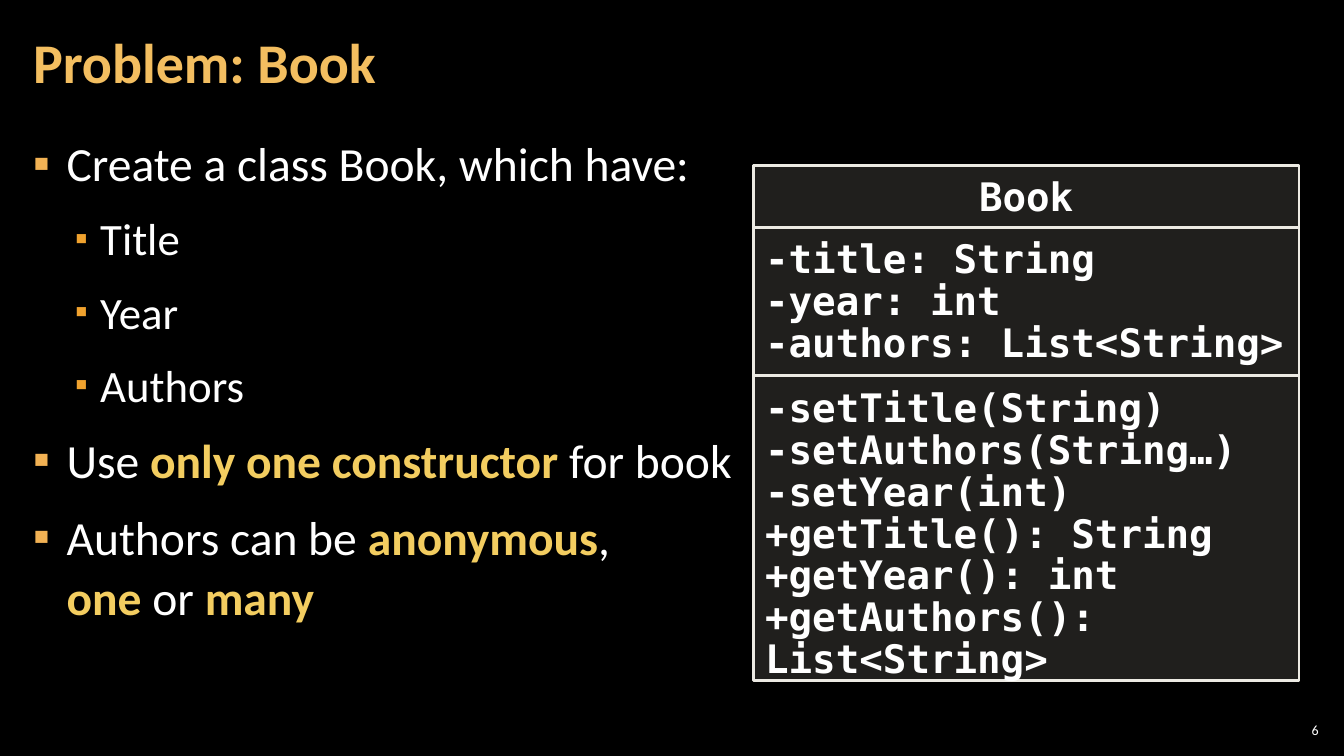
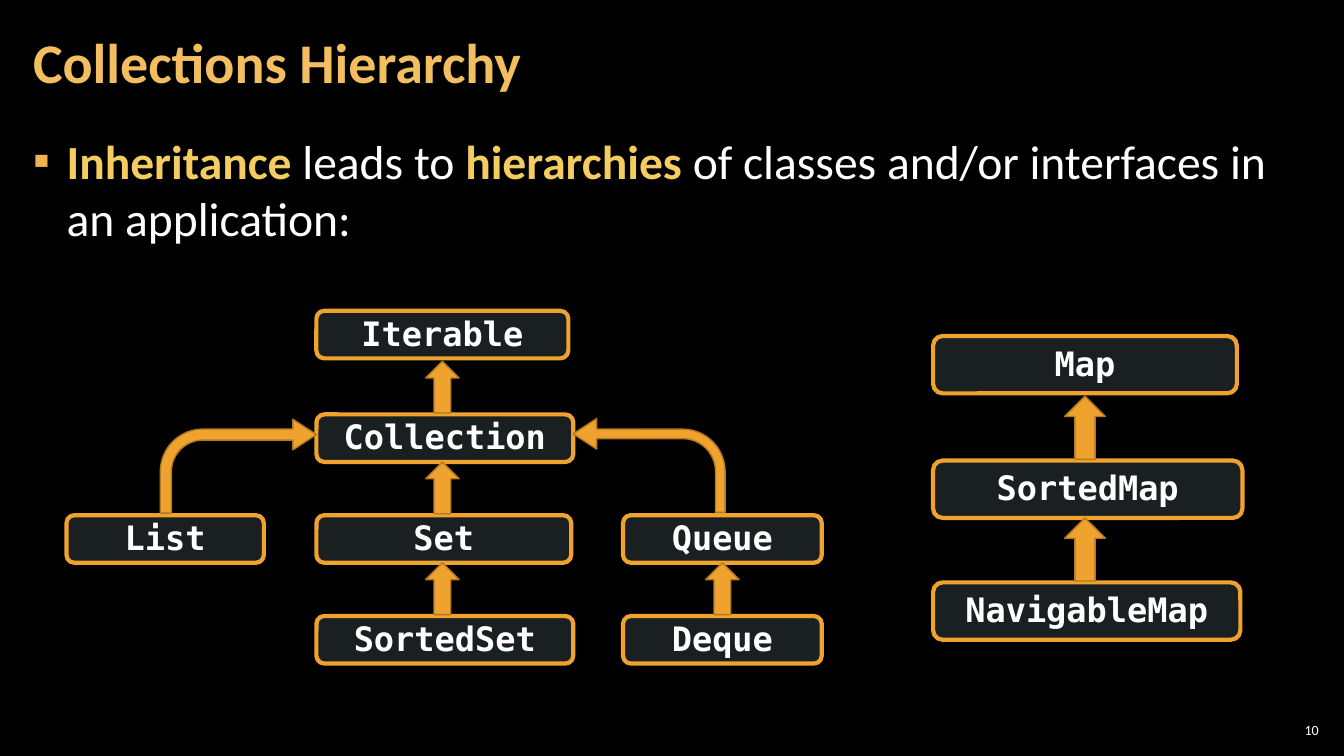
from lxml import etree
from pptx import Presentation
from pptx.dml.color import RGBColor
from pptx.enum import shapes, text
from pptx.oxml import ns
from pptx.util import Pt

# Shared look
BLACK, WHITE = "000000", "FFFFFF"
TITLE_GOLD, EMPHASIS = "F3BE60", "F3CD60"
ORANGE, ARROW_EDGE = "F0A22E", "B27822"
NODE_TINT, UML_TINT, UML_EDGE = "B5DBE5", "D9D5C7", "ECEAE3"
SANS, MONO = "Calibri", "DejaVu Sans Mono"
TINT_OPACITY = 15
LEFT, CENTER, RIGHT = text.PP_ALIGN.LEFT, text.PP_ALIGN.CENTER, text.PP_ALIGN.RIGHT
# Per list level: text size, left margin, hanging indent, bullet colour, bullet size
LEVELS = [(34, 24, 24, "F2B254", 100), (32, 48, 18, ORANGE, 80)]


def color(hex_code):
    return RGBColor.from_string(hex_code)


def add_xml(parent, tag, **attributes):
    return etree.SubElement(parent, ns.qn(tag), attributes)


def place(shape, left, top, width, height):
    shape.left, shape.top = Pt(left), Pt(top)
    shape.width, shape.height = Pt(width), Pt(height)


def set_frame(frame, side, edge, anchor, wrap=True):
    frame.auto_size = text.MSO_AUTO_SIZE.NONE
    frame.word_wrap = wrap
    frame.vertical_anchor = anchor
    frame.margin_left = frame.margin_right = Pt(side)
    frame.margin_top = frame.margin_bottom = Pt(edge)


def style(paragraph, face, size, hex_code=WHITE, bold=False, align=LEFT, spacing=1.0):
    paragraph.alignment = align
    paragraph.line_spacing = spacing
    font = paragraph.font
    font.name, font.size, font.bold = face, Pt(size), bold
    font.color.rgb = color(hex_code)


# Slide parts
def add_slide(prs, title, number):
    slide = prs.slides.add_slide(prs.slide_layouts[1])
    heading = slide.shapes.title
    place(heading, 15, 3, 754, 87)
    set_frame(heading.text_frame, 8.6, 3, text.MSO_ANCHOR.MIDDLE)
    heading.text_frame.text = title
    style(heading.text_frame.paragraphs[0], SANS, 40, TITLE_GOLD, True, spacing=0.9)

    page = slide.shapes.add_textbox(Pt(911), Pt(514), Pt(34), Pt(15)).text_frame
    set_frame(page, 3, 3, text.MSO_ANCHOR.MIDDLE)
    page.text = str(number)
    style(page.paragraphs[0], SANS, 10, align=RIGHT)
    return slide


def add_marked_text(paragraph, marked):
    """Words between asterisks are emphasised; a newline breaks the line."""
    for i, part in enumerate(marked.split("*")):
        for j, piece in enumerate(part.split("\n")):
            if j:
                paragraph.add_line_break()
            if piece:
                run = paragraph.add_run()
                run.text = piece
                if i % 2:
                    run.font.bold = True
                    run.font.color.rgb = color(EMPHASIS)


def set_bullet(paragraph, margin, hanging, hex_code, percent):
    properties = paragraph._p.get_or_add_pPr()
    properties.set("marL", str(Pt(margin)))
    properties.set("indent", str(-Pt(hanging)))
    add_xml(add_xml(properties, "a:buClr"), "a:srgbClr", val=hex_code)
    add_xml(properties, "a:buSzPct", val=str(percent * 1000))
    add_xml(properties, "a:buFont", typeface=SANS)
    add_xml(properties, "a:buChar", char="▪")


def fill_list(slide, items, spacing):
    body = slide.placeholders[1]
    place(body, 15, 91, 930, 438)
    frame = body.text_frame
    set_frame(frame, 8.6, 3, text.MSO_ANCHOR.TOP)
    for i, (level, marked) in enumerate(items):
        paragraph = frame.add_paragraph() if i else frame.paragraphs[0]
        size, *bullet = LEVELS[level]
        paragraph.level = level
        paragraph.space_before = paragraph.space_after = Pt(6)
        set_bullet(paragraph, *bullet)
        style(paragraph, SANS, size, spacing=spacing)
        add_marked_text(paragraph, marked)


def add_block(slide, kind, box, fill, line, line_width, opacity=100):
    block = slide.shapes.add_shape(kind, *map(Pt, box))
    block.shadow.inherit = False
    block.fill.solid()
    block.fill.fore_color.rgb = color(fill)
    if opacity < 100:
        tint = block._element.spPr.find(ns.qn("a:solidFill"))[0]
        add_xml(tint, "a:alpha", val=str(opacity * 1000))
    block.line.color.rgb = color(line)
    block.line.width = Pt(line_width)
    return block


def add_compartment(slide, top, height, lines, align=LEFT):
    compartment = add_block(slide, shapes.MSO_SHAPE.RECTANGLE, (538, top, 390, height),
                            UML_TINT, UML_EDGE, 2, TINT_OPACITY)
    frame = compartment.text_frame
    set_frame(frame, 8.6, 8.6, text.MSO_ANCHOR.TOP)
    frame.text = "\n".join(lines)
    for paragraph in frame.paragraphs:
        style(paragraph, MONO, 28, bold=True, align=align, spacing=Pt(30))


def add_node(slide, name, left, top, width, height):
    node = add_block(slide, shapes.MSO_SHAPE.ROUNDED_RECTANGLE, (left, top, width, height),
                     NODE_TINT, ORANGE, 3, TINT_OPACITY)
    set_frame(node.text_frame, 7.2, 3.6, text.MSO_ANCHOR.MIDDLE, wrap=False)
    node.text_frame.text = name
    style(node.text_frame.paragraphs[0], MONO, 24, bold=True, align=CENTER, spacing=0.95)


def add_up_arrow(slide, center, child_top, width, height):
    """Arrow that rises from just above the child to its parent."""
    box = (center - width / 2, child_top - height - 1, width, height)
    add_block(slide, shapes.MSO_SHAPE.UP_ARROW, box, ORANGE, ARROW_EDGE, 1)


def add_bent_arrow(slide, box, thickness, flipped=False):
    arrow = add_block(slide, shapes.MSO_SHAPE.BENT_ARROW, box, ORANGE, ARROW_EDGE, 1)
    for i, value in enumerate((thickness, 0.163, 0.25, 0.454)):
        arrow.adjustments[i] = value
    if flipped:
        arrow._element.spPr.get_or_add_xfrm().set("flipH", "1")


# Slides
def build_book(prs):
    slide = add_slide(prs, "Problem: Book", 6)
    fill_list(slide, [
        (0, "Create a class Book, which have:"),
        (1, "Title"),
        (1, "Year"),
        (1, "Authors"),
        (0, "Use *only one constructor* for book"),
        (0, "Authors can be *anonymous*, \n*one *or *many*"),
    ], 1.05)
    fields = ["-title: String", "-year: int", "-authors: List<String>"]
    methods = ["-setTitle(String)", "-setAuthors(String…)", "-setYear(int)",
               "+getTitle(): String", "+getYear(): int", "+getAuthors(): List<String>"]
    top = 118
    for height, lines, align in [(44.5, ["Book"], CENTER), (106, fields, LEFT),
                                 (217.5, methods, LEFT)]:
        add_compartment(slide, top, height, lines, align)
        top += height


def build_hierarchy(prs):
    slide = add_slide(prs, "Collections Hierarchy", 10)
    fill_list(slide, [(0, "*Inheritance* leads to *hierarchies* of classes "
                          "and/or interfaces in an application:")], 1.0)

    # Collection family
    rows = [222, 296, 368, 440]
    for name, left, row, width in [
        ("Iterable", 226, 0, 180), ("Collection", 226, 1, 183.5),
        ("List", 47.5, 2, 141), ("Set", 226, 2, 182), ("Queue", 445, 2, 142),
        ("SortedSet", 226, 3, 183.5), ("Deque", 445, 3, 142),
    ]:
        add_node(slide, name, left, rows[row], width, 34)
    for center, row in [(316, 1), (316, 2), (316, 3), (516, 3)]:
        add_up_arrow(slide, center, rows[row], 24, 37)
    add_bent_arrow(slide, (114.5, 299.5, 111.5, 67), 0.118)
    add_bent_arrow(slide, (409.5, 299, 108.5, 67), 0.102, flipped=True)

    # Map family
    for i, (name, top, width) in enumerate([("Map", 240, 217), ("SortedMap", 329, 221),
                                            ("NavigableMap", 416, 219.5)]):
        add_node(slide, name, 666.5, top, width, 41)
        if i:
            add_up_arrow(slide, 775, top, 29, 45)


def main():
    prs = Presentation()
    prs.slide_width, prs.slide_height = Pt(960), Pt(540)
    backdrop = prs.slide_master.background.fill
    backdrop.solid()
    backdrop.fore_color.rgb = color(BLACK)
    build_book(prs)
    build_hierarchy(prs)
    prs.save("out.pptx")


main()
